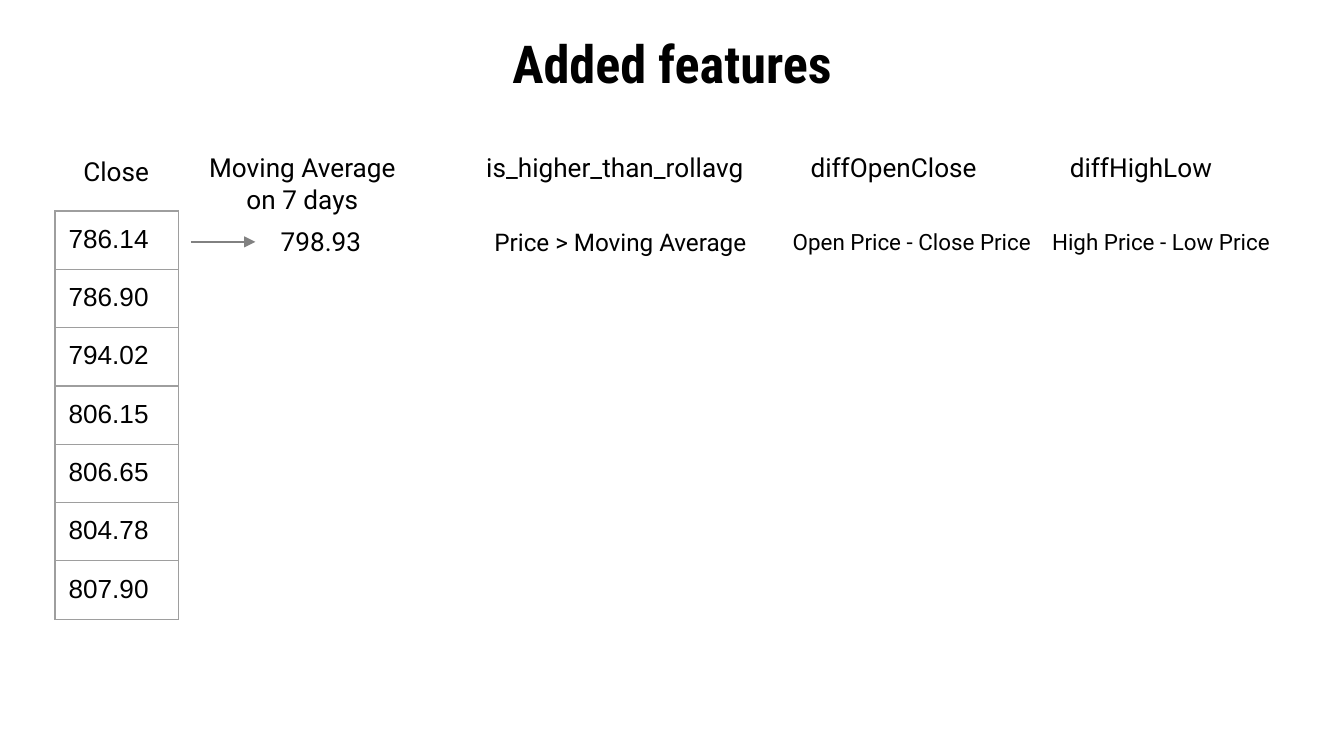
import pptx
import pptx.util
import pptx.dml.color
import pptx.enum.shapes
import pptx.enum.text
import pptx.oxml
import pptx.oxml.ns
from lxml import etree
from dataclasses import dataclass

Inches = pptx.util.Inches
Pt = pptx.util.Pt
LEFT = pptx.enum.text.PP_ALIGN.LEFT
CENTER = pptx.enum.text.PP_ALIGN.CENTER


@dataclass(frozen=True)
class Theme:
    background: str = "FFFFFF"
    text: str = "000000"
    border: str = "9E9E9E"
    arrow: str = "818181"
    line_width: float = 0.75
    inset: float = 0.1
    title_font: str = "Roboto Condensed"
    body_font: str = "Roboto"
    table_font: str = "Arial"
    title_size: int = 28
    body_size: int = 14
    formula_size: int = 13
    small_size: int = 12


THEME = Theme()
CLOSE_PRICES = ["786.14", "786.90", "794.02", "806.15", "806.65", "804.78", "807.90"]


def rgb(value):
    return pptx.dml.color.RGBColor.from_string(value)


def set_values(target, values):
    for name, value in values.items():
        setattr(target, name, value)


def format_run(run, size, font, bold=False):
    set_values(run.font, {"size": Pt(size), "name": font, "bold": bold})
    run.font.color.rgb = rgb(THEME.text)


def margins():
    return {f"margin_{side}": Inches(THEME.inset)
            for side in ("left", "right", "top", "bottom")}


def add_text(slide, box, text, size=THEME.body_size, font=THEME.body_font,
             bold=False, alignment=CENTER):
    shape = slide.shapes.add_textbox(*map(Inches, box))
    set_values(shape.text_frame, {
        "word_wrap": True,
        "vertical_anchor": pptx.enum.text.MSO_ANCHOR.TOP,
        **margins(),
    })
    paragraph = shape.text_frame.paragraphs[0]
    paragraph.alignment = alignment
    run = paragraph.add_run()
    run.text = text
    format_run(run, size, font, bold)


def add_borders(cell):
    properties = cell._tc.get_or_add_tcPr()
    for position, side in enumerate(("lnL", "lnR", "lnT", "lnB")):
        border = pptx.oxml.parse_xml(
            f'<a:{side} {pptx.oxml.ns.nsdecls("a")} w="{Pt(THEME.line_width)}">'
            f'<a:solidFill><a:srgbClr val="{THEME.border}"/></a:solidFill></a:{side}>')
        properties.insert(position, border)


def add_price_table(slide, left, top, width, row_height):
    rows = len(CLOSE_PRICES)
    frame = slide.shapes.add_table(
        rows, 1, *map(Inches, (left, top, width, rows * row_height)))
    set_values(frame.table, {"first_row": False, "horz_banding": False})
    for row, price in enumerate(CLOSE_PRICES):
        cell = frame.table.cell(row, 0)
        cell.fill.background()
        set_values(cell, margins())
        run = cell.text_frame.paragraphs[0].add_run()
        run.text = price
        format_run(run, THEME.body_size, THEME.table_font)
        add_borders(cell)


def add_arrow(slide, left, top, length):
    connector = slide.shapes.add_connector(
        pptx.enum.shapes.MSO_CONNECTOR.STRAIGHT,
        *map(Inches, (left, top, left + length, top)))
    connector.line.color.rgb = rgb(THEME.arrow)
    connector.line.width = Pt(THEME.line_width)
    qn = pptx.oxml.ns.qn
    etree.SubElement(connector.line._get_or_add_ln(), qn("a:tailEnd"), type="triangle")
    etree.SubElement(connector._element.spPr, qn("a:effectLst"))


def add_close_region(slide, left, top):
    """Closing prices and the moving average derived from them."""
    add_text(slide, (left, top + 0.03, 1.23, 0.44), "Close")
    add_price_table(slide, left + 0.16, top + 0.54, 0.92, 0.43)
    add_arrow(slide, left + 1.17, top + 0.77, 0.48)
    add_text(slide, (left + 1.17, top, 1.66, 0.67), "Moving Average on 7 days")
    add_text(slide, (left + 1.74, top + 0.55, 0.92, 0.44), "798.93", alignment=LEFT)


def add_feature(slide, left, top, width, name, formula, formula_box, size, alignment):
    """Feature name with its formula below."""
    add_text(slide, (left, top, width, 0.44), name)
    offset_x, offset_y, formula_width, height = formula_box
    add_text(slide, (left + offset_x, top + offset_y, formula_width, height),
             formula, size=size, alignment=alignment)


def build_slide(presentation):
    slide = presentation.slides.add_slide(presentation.slide_layouts[6])
    slide.background.fill.solid()
    slide.background.fill.fore_color.rgb = rgb(THEME.background)

    # Title
    add_text(slide, (0.5, 0.13, 9, 0.63), "Added features",
             THEME.title_size, THEME.title_font, bold=True)

    # Closing prices
    top = 1.03
    add_close_region(slide, 0.25, top)

    # Derived features
    features = [
        (3.5, 2.15, "is_higher_than_rollavg", "Price > Moving Average",
         (-0.04, 0.56, 2.31, 0.42), THEME.formula_size, CENTER),
        (5.82, 1.66, "diffOpenClose", "Open Price - Close Price",
         (-0.02, 0.57, 1.99, 0.4), THEME.small_size, LEFT),
        (7.66, 1.66, "diffHighLow", "High Price - Low Price",
         (0.07, 0.57, 1.99, 0.4), THEME.small_size, LEFT),
    ]
    for left, *details in features:
        add_feature(slide, left, top, *details)


def main():
    presentation = pptx.Presentation()
    # Widescreen, 16:9
    width = Inches(10)
    set_values(presentation, {"slide_width": width, "slide_height": width * 9 // 16})
    build_slide(presentation)
    presentation.save("out.pptx")


if __name__ == "__main__":
    main()
